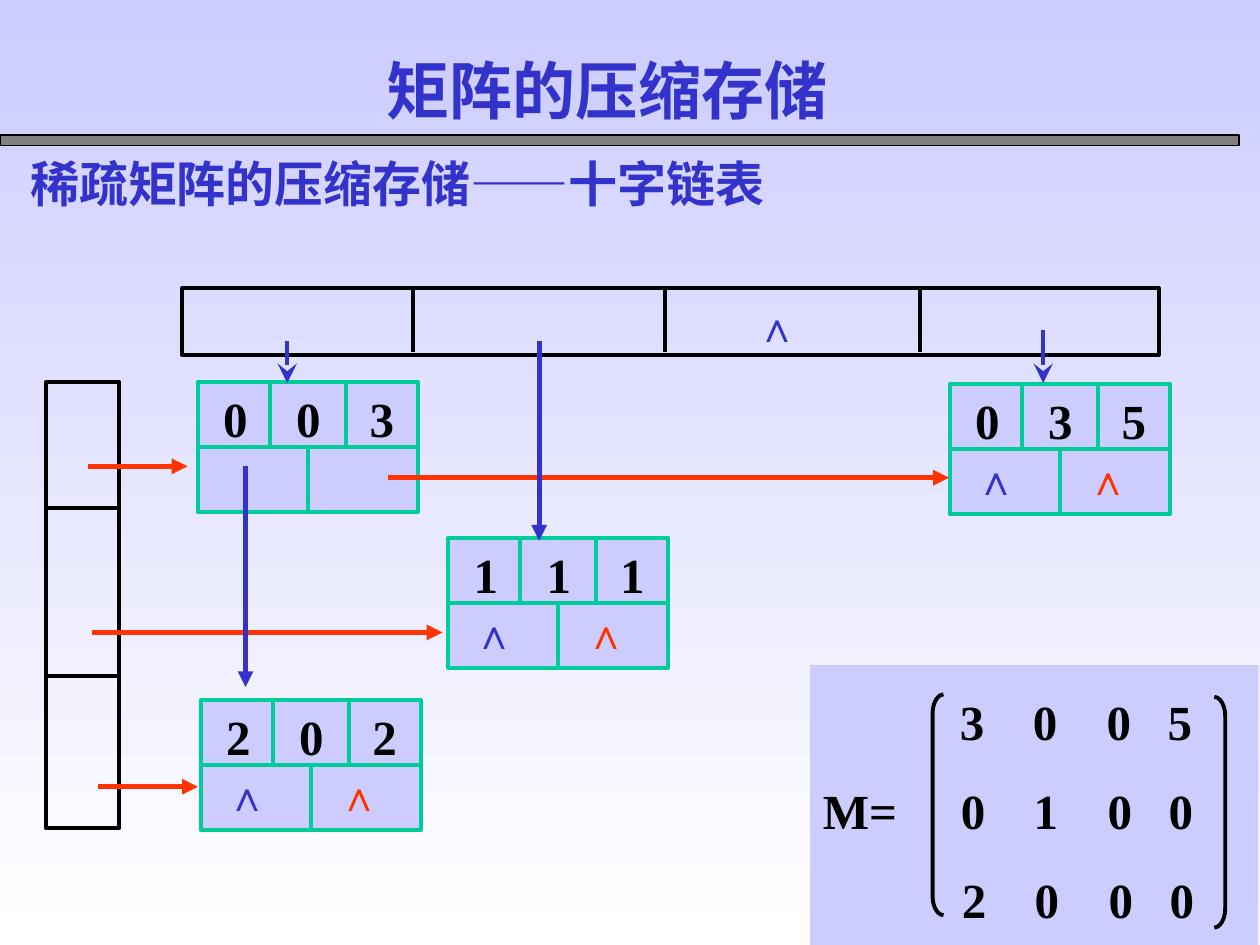
from dataclasses import dataclass

from lxml import etree
from pptx import Presentation
from pptx.dml.color import RGBColor
from pptx.enum.shapes import MSO_CONNECTOR, MSO_SHAPE
from pptx.enum.text import MSO_ANCHOR, MSO_AUTO_SIZE, PP_ALIGN
from pptx.oxml.ns import qn
from pptx.util import Cm, Pt

RECTANGLE = MSO_SHAPE.RECTANGLE
LEFT_BRACKET = MSO_SHAPE.LEFT_BRACKET
RIGHT_BRACKET = MSO_SHAPE.RIGHT_BRACKET
STRAIGHT = MSO_CONNECTOR.STRAIGHT
TOP = MSO_ANCHOR.TOP
MIDDLE = MSO_ANCHOR.MIDDLE
LEFT = PP_ALIGN.LEFT
NO_AUTOFIT = MSO_AUTO_SIZE.NONE


@dataclass(frozen=True)
class Theme:
    blue: RGBColor = RGBColor(0x33, 0x33, 0xCC)
    red: RGBColor = RGBColor(0xFF, 0x33, 0x00)
    green: RGBColor = RGBColor(0x00, 0xCC, 0x99)
    lavender: RGBColor = RGBColor(0xCC, 0xCC, 0xFF)
    gray: RGBColor = RGBColor(0x80, 0x80, 0x80)
    black: RGBColor = RGBColor(0, 0, 0)
    white: RGBColor = RGBColor(0xFF, 0xFF, 0xFF)
    latin: str = "Times New Roman"
    chinese: str = "Noto Sans CJK SC"
    title: int = 36
    body: int = 28
    caret: int = 24
    border: float = 2.25
    arrow: float = 3


theme = Theme()


def write(box, text, size=theme.body, color=theme.black, font=theme.latin,
          anchor=MIDDLE, insets=(0.25, 0.13, 0.25), tabs=()):
    frame = box.text_frame
    frame.word_wrap = True
    frame.auto_size = NO_AUTOFIT
    frame.vertical_anchor = anchor
    frame.margin_left, frame.margin_top, frame.margin_right = map(Cm, insets)
    frame.margin_bottom = frame.margin_top
    para = frame.paragraphs[0]
    para.alignment = LEFT
    if tabs:
        stops = etree.SubElement(para._p.get_or_add_pPr(), qn("a:tabLst"))
        for stop in tabs:
            etree.SubElement(stops, qn("a:tab"), pos=str(Cm(stop)), algn="l")
    span = para.add_run()
    span.text = text
    span.font.name = font
    span.font.size = Pt(size)
    span.font.bold = True
    span.font.color.rgb = color
    etree.SubElement(span._r.get_or_add_rPr(), qn("a:ea"), typeface=theme.chinese)


def draw_line(start, end, color, width=theme.border, head=None, head_size="med"):
    line = page.shapes.add_connector(
        STRAIGHT, Cm(start[0]), Cm(start[1]), Cm(end[0]), Cm(end[1]))
    line.line.color.rgb = color
    line.line.width = Pt(width)
    if head:
        etree.SubElement(line.line._get_or_add_ln(), qn("a:tailEnd"),
                         type=head, w=head_size, len=head_size)
    etree.SubElement(line._element.spPr, qn("a:effectLst"))
    return line


deck = Presentation()
deck.slide_width = Cm(25.4)
deck.slide_height = Cm(19.05)
page = deck.slides.add_slide(deck.slide_layouts[5])

backdrop = page.background.fill
backdrop.gradient()
backdrop.gradient_angle = 270
for stop, color in zip(backdrop.gradient_stops, (theme.lavender, theme.white)):
    stop.color.rgb = color

title = page.shapes.title
title.left, title.top, title.width, title.height = Cm(7.54), Cm(0.91), Cm(10.5), Cm(1.78)
write(title, "矩阵的压缩存储", size=theme.title, color=theme.blue)

subtitle = page.shapes.add_textbox(Cm(0.36), Cm(2.97), Cm(18.34), Cm(1.45))
write(subtitle, "稀疏矩阵的压缩存储——十字链表", color=theme.blue, font=theme.chinese)

panels = [
    (RECTANGLE, 0, 2.72, 24.98, 0.21, theme.gray, theme.black, 0.75),
    (RECTANGLE, 16.33, 13.41, 9.04, 5.64, theme.lavender, None, 0),
    (LEFT_BRACKET, 18.8, 14, 0.22, 4.45, None, theme.black, theme.border),
    (RIGHT_BRACKET, 24.48, 14.05, 0.22, 4.65, None, theme.black, theme.border),
    (RECTANGLE, 0.93, 7.7, 1.48, 9, None, theme.black, theme.border),
    (RECTANGLE, 3.67, 5.81, 19.69, 1.35, None, theme.black, theme.border),
]
nodes = [
    (3.99, 7.7, "0\t0\t3", False),
    (19.15, 7.74, "0\t3\t5", True),
    (9.04, 10.84, "1\t1\t1", True),
    (4.05, 14.11, "2\t0\t2", True),
]
node_width, node_height = 4.43, 2.62
panels += [(RECTANGLE, left, top, node_width, node_height,
            theme.lavender, theme.green, theme.border) for left, top, *_ in nodes]

boxes = []
for kind, left, top, width, height, fill, border, weight in panels:
    box = page.shapes.add_shape(kind, Cm(left), Cm(top), Cm(width), Cm(height))
    box.shadow.inherit = False
    if fill is None:
        box.fill.background()
    else:
        box.fill.solid()
        box.fill.fore_color.rgb = fill
    if border is None:
        box.line.fill.background()
    else:
        box.line.color.rgb = border
        box.line.width = Pt(weight)
    if kind in (LEFT_BRACKET, RIGHT_BRACKET):
        box.adjustments[0] = 1.76
    boxes.append(box)

carets = [(15.26, 6.05, theme.blue)]
for box, (left, top, values, is_last) in zip(boxes[-len(nodes):], nodes):
    write(box, values, anchor=TOP, insets=(0.51, 0.13, 0), tabs=(1.47, 2.95))
    center, middle = left + node_width / 2, top + node_height / 2
    across = draw_line((left, middle), (left + node_width, middle), theme.green)
    across.begin_connect(box, 1)
    across.end_connect(box, 3)
    for offset in (1.45, 2.98):
        draw_line((left + offset, top), (left + offset, middle), theme.green)
    lower = draw_line((center, middle), (center, top + node_height), theme.green)
    lower.end_connect(box, 2)
    if is_last:
        carets += [(left + 0.51, top + 1.41, theme.blue),
                   (left + 2.77, top + 1.41, theme.red)]

for left, top, color in carets:
    caret = page.shapes.add_textbox(Cm(left), Cm(top), Cm(1.04), Cm(1.02))
    write(caret, "∧", size=theme.caret, color=color, anchor=TOP, insets=(0, 0, 0))

for y in (10.24, 13.63):
    draw_line((0.93, y), (2.41, y), theme.black)
for x in (8.33, 13.41, 18.54):
    draw_line((x, 5.81), (x, 7.09), theme.black)

for start, end, y in [(1.78, 3.78, 9.4), (7.82, 19.13, 9.63),
                      (1.85, 8.92, 12.75), (1.98, 3.99, 15.86)]:
    draw_line((start, y), (end, y), theme.red, theme.arrow, "triangle")
for x, start, end, width, head, head_size in [
    (5.79, 6.87, 7.72, theme.border, "stealth", "lg"),
    (21.03, 6.65, 7.72, theme.border, "stealth", "lg"),
    (10.87, 6.87, 10.9, theme.arrow, "triangle", "med"),
    (4.95, 9.4, 13.85, theme.arrow, "triangle", "med"),
]:
    draw_line((x, start), (x, end), theme.blue, width, head, head_size)

matrix_name = page.shapes.add_textbox(Cm(16.34), Cm(15.6), Cm(2.29), Cm(1.45))
write(matrix_name, "M=")
for index, values in enumerate(["3\t0\t0\t5", "0\t1\t0\t0", "2\t0\t0\t0"]):
    row = page.shapes.add_textbox(
        Cm(19.1 + 0.02 * index), Cm(13.8 + 1.8 * index), Cm(5.5), Cm(1.45))
    write(row, values, tabs=(1.47, 2.96, 4.19))

deck.save("out.pptx")
